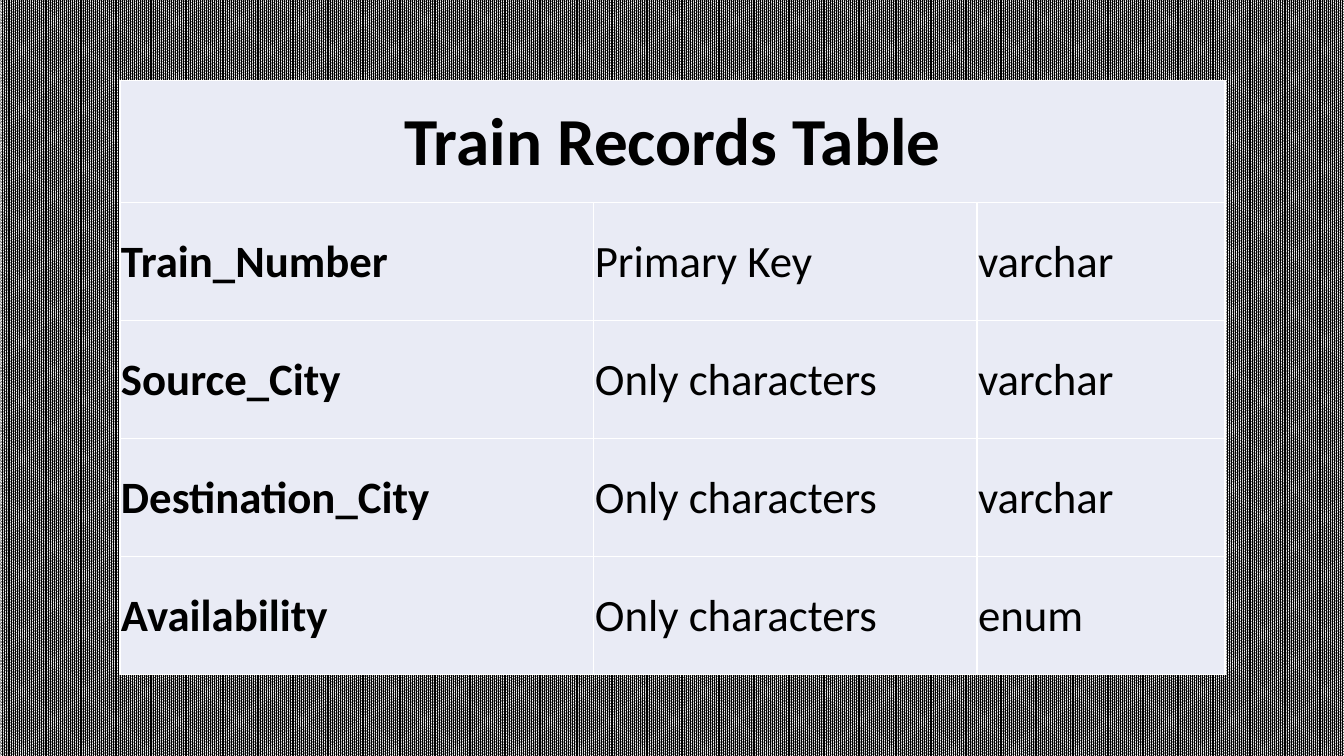
from lxml.etree import SubElement
from pptx import Presentation
from pptx.dml.color import RGBColor
from pptx.enum.dml import MSO_PATTERN
from pptx.enum.text import MSO_ANCHOR, PP_ALIGN
from pptx.oxml.ns import qn
from pptx.util import Inches, Pt

BLACK = RGBColor(0x00, 0x00, 0x00)
WHITE = RGBColor(0xFF, 0xFF, 0xFF)
PALE_BLUE = RGBColor(0xE9, 0xEB, 0xF5)

TITLE = "Train Records Table"
FIELDS = [
    ("Train_Number", "Primary Key", "varchar"),
    ("Source_City", "Only characters", "varchar"),
    ("Destination_City", "Only characters", "varchar"),
    ("Availability", "Only characters", "enum"),
]
COLUMN_WIDTHS = [4.7, 3.8, 2.46]
TITLE_HEIGHT = 1.21
FIELD_HEIGHT = 1.17


def paint_background(page):
    fill = page.background.fill
    fill.patterned()
    fill.pattern = MSO_PATTERN.PERCENT_90
    fill.fore_color.rgb = BLACK
    fill.back_color.rgb = WHITE


def add_borders(cell):
    properties = cell._tc.get_or_add_tcPr()
    for side in ("a:lnL", "a:lnR", "a:lnT", "a:lnB"):
        line = SubElement(properties, qn(side), w=str(Pt(1)))
        solid = SubElement(line, qn("a:solidFill"))
        SubElement(solid, qn("a:srgbClr"), val=str(WHITE))


def style_cell(cell):
    add_borders(cell)
    cell.fill.solid()
    cell.fill.fore_color.rgb = PALE_BLUE
    cell.vertical_anchor = MSO_ANCHOR.MIDDLE
    cell.margin_left = cell.margin_right = cell.margin_top = Inches(0.01)
    cell.margin_bottom = 0


def write_cell(cell, text, size, bold, alignment=PP_ALIGN.LEFT):
    cell.text_frame.text = text
    para = cell.text_frame.paragraphs[0]
    para.alignment = alignment
    font = para.runs[0].font
    font.name = "Calibri"
    font.size = Pt(size)
    font.bold = bold
    font.color.rgb = BLACK


def add_records_table(page, left, top, width, height):
    frame = page.shapes.add_table(
        len(FIELDS) + 1, len(COLUMN_WIDTHS),
        Inches(left), Inches(top), Inches(width), Inches(height),
    )
    table = frame.table
    for column, column_width in zip(table.columns, COLUMN_WIDTHS):
        column.width = Inches(column_width)
    for index, row in enumerate(table.rows):
        row.height = Inches(FIELD_HEIGHT if index else TITLE_HEIGHT)
    for cell in table.iter_cells():
        style_cell(cell)

    table.cell(0, 0).merge(table.cell(0, len(COLUMN_WIDTHS) - 1))
    write_cell(table.cell(0, 0), TITLE, 48, True, PP_ALIGN.CENTER)
    for row_index, field in enumerate(FIELDS, start=1):
        for column_index, text in enumerate(field):
            write_cell(table.cell(row_index, column_index), text, 32, column_index == 0)


def main():
    deck = Presentation()
    deck.slide_width = Inches(13.33)
    deck.slide_height = Inches(7.5)
    page = deck.slides.add_slide(deck.slide_layouts[6])
    paint_background(page)
    add_records_table(page, 1.19, 0.8, sum(COLUMN_WIDTHS),
                      TITLE_HEIGHT + FIELD_HEIGHT * len(FIELDS))
    deck.save("out.pptx")


if __name__ == "__main__":
    main()
